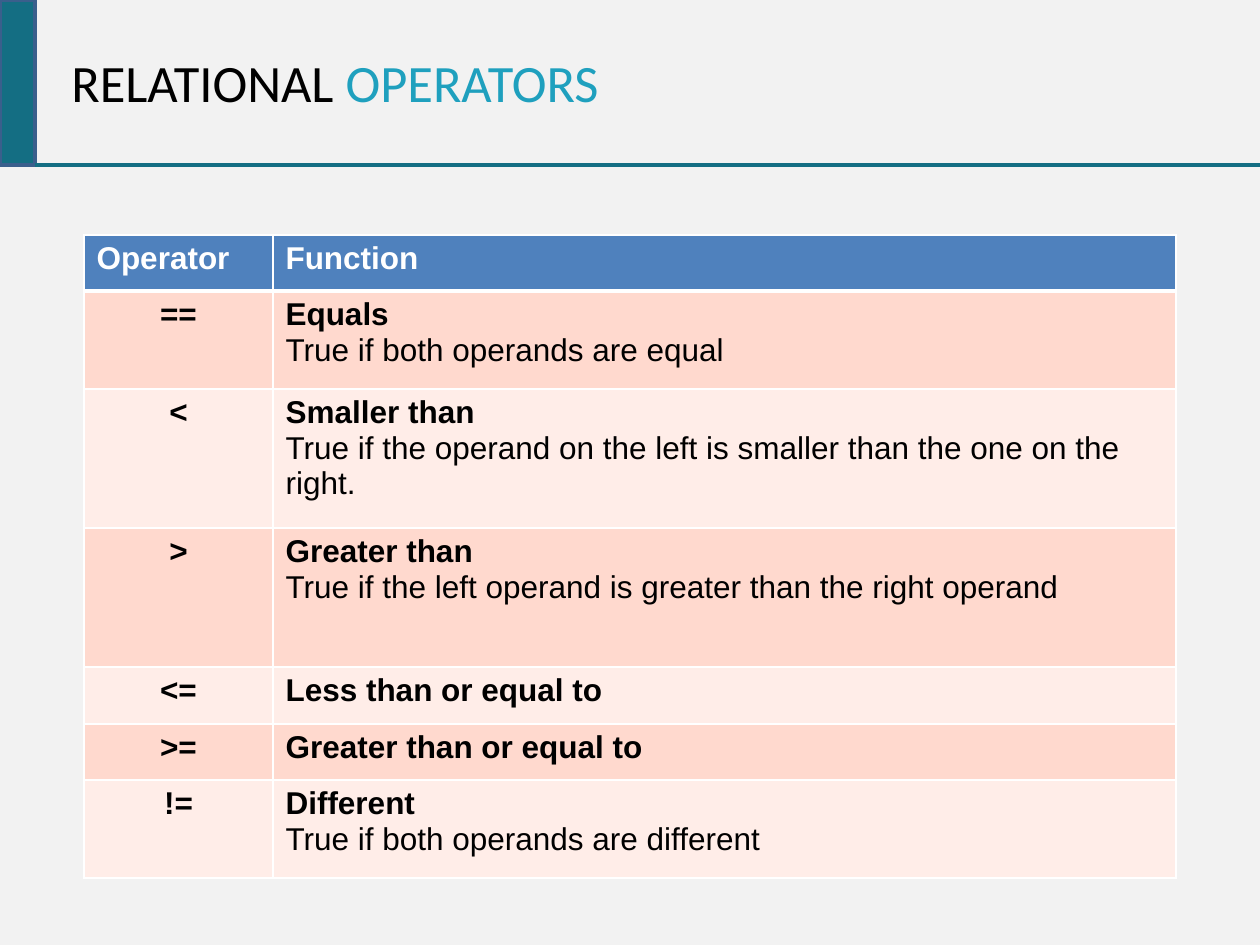
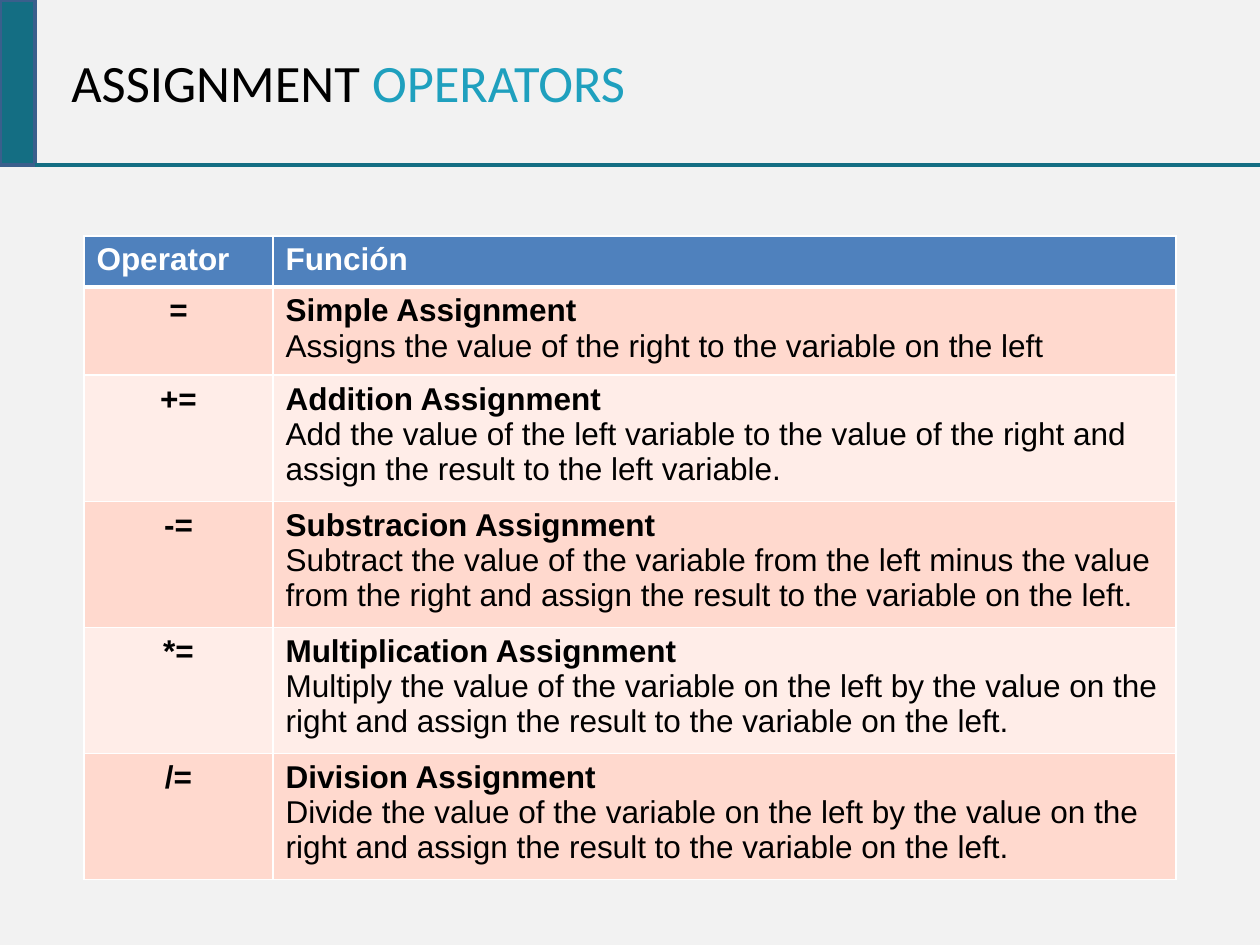
import pptx
import pptx.util
import pptx.dml.color
import pptx.enum.shapes
import pptx.enum.text
import pptx.oxml
import pptx.oxml.ns

RGBColor = pptx.dml.color.RGBColor
PAPER = RGBColor(0xF2, 0xF2, 0xF2)
TEAL = RGBColor(0x14, 0x6E, 0x83)
TEAL_EDGE = RGBColor(0x3A, 0x5F, 0x8C)
ACCENT = RGBColor(0x1F, 0xA0, 0xBE)
HEADER_BLUE = RGBColor(0x4F, 0x81, 0xBD)
ROW_DARK = RGBColor(0xFF, 0xD9, 0xCE)
ROW_LIGHT = RGBColor(0xFF, 0xED, 0xE8)
WHITE = RGBColor(0xFF, 0xFF, 0xFF)
BLACK = RGBColor(0, 0, 0)

PX_PER_INCH = 126
BAND_WIDTH, BAND_HEIGHT = 35, 165
TABLE_LEFT = 84
COLUMN_WIDTHS = [189, 903]

# Each row: height, operator, name, explanation (if any)
SLIDES = [
    ("RELATIONAL ", 235, [
        (56, "Operator", "Function"),
        (98, "==", "Equals", "True if both operands are equal"),
        (139, "<", "Smaller than",
         "True if the operand on the left is smaller than the one on the right."),
        (139, ">", "Greater than",
         "True if the left operand is greater than the right operand"),
        (57, "<=", "Less than or equal to"),
        (56, ">=", "Greater than or equal to"),
        (98, "!=", "Different", "True if both operands are different"),
    ]),
    ("ASSIGNMENT ", 236, [
        (51, "Operator", "Función"),
        (88, "=", "Simple Assignment",
         "Assigns the value of the right to the variable on the left"),
        (126, "+=", "Addition Assignment",
         "Add the value of the left variable to the value of the right and "
         "assign the result to the left variable."),
        (126, "-=", "Substracion Assignment",
         "Subtract the value of the variable from the left minus the value "
         "from the right and assign the result to the variable on the left."),
        (126, "*=", "Multiplication Assignment",
         "Multiply the value of the variable on the left by the value on the "
         "right and assign the result to the variable on the left."),
        (126, "/=", "Division Assignment",
         "Divide the value of the variable on the left by the value on the "
         "right and assign the result to the variable on the left."),
    ]),
]


def px(length):
    return pptx.util.Emu(round(length * 914400 / PX_PER_INCH))


def set_borders(cell, top, bottom):
    """White cell borders; top and bottom widths in points."""
    properties = cell._tc.get_or_add_tcPr()
    sides = [("lnL", 1), ("lnR", 1), ("lnT", top), ("lnB", bottom)]
    for position, (side, points) in enumerate(sides):
        properties.insert(position, pptx.oxml.parse_xml(
            f'<a:{side} {pptx.oxml.ns.nsdecls("a")} w="{pptx.util.Pt(points)}">'
            f'<a:solidFill><a:srgbClr val="{WHITE}"/></a:solidFill></a:{side}>'))


deck = pptx.Presentation()
deck.slide_width, deck.slide_height = px(1260), px(945)

for topic, table_top, rows in SLIDES:
    slide = deck.slides.add_slide(deck.slide_layouts[6])
    slide.background.fill.solid()
    slide.background.fill.fore_color.rgb = PAPER

    # Title in two colours
    title = slide.shapes.add_textbox(px(59), 0, px(1027), px(164)).text_frame
    title.word_wrap = True
    title.vertical_anchor = pptx.enum.text.MSO_ANCHOR.MIDDLE
    for words, color in [(topic, BLACK), ("OPERATORS", ACCENT)]:
        run = title.paragraphs[0].add_run()
        run.text = words
        run.font.name = "Calibri"
        run.font.size = pptx.util.Pt(30)
        run.font.color.rgb = color

    # Teal band and the rule beside it
    band = slide.shapes.add_shape(pptx.enum.shapes.MSO_SHAPE.RECTANGLE,
                                  0, 0, px(BAND_WIDTH), px(BAND_HEIGHT))
    band.shadow.inherit = False
    band.fill.solid()
    band.fill.fore_color.rgb = TEAL
    band.line.color.rgb = TEAL_EDGE
    band.line.width = pptx.util.Pt(2)
    rule = slide.shapes.add_connector(pptx.enum.shapes.MSO_CONNECTOR.STRAIGHT,
                                      px(BAND_WIDTH), px(BAND_HEIGHT),
                                      deck.slide_width, px(BAND_HEIGHT))
    rule.line.color.rgb = TEAL
    rule.line.width = pptx.util.Pt(1.75)
    rule._element.spPr.append(pptx.oxml.parse_xml(
        f'<a:effectLst {pptx.oxml.ns.nsdecls("a")}/>'))

    # Operator table
    operators = slide.shapes.add_table(
        len(rows), len(COLUMN_WIDTHS), px(TABLE_LEFT), px(table_top),
        px(sum(COLUMN_WIDTHS)), px(sum(row[0] for row in rows))).table
    for column, width in zip(operators.columns, COLUMN_WIDTHS):
        column.width = px(width)

    for row_index, (height, operator, *description) in enumerate(rows):
        operators.rows[row_index].height = px(height)
        is_header = row_index == 0
        row_fill = HEADER_BLUE if is_header else (ROW_LIGHT, ROW_DARK)[row_index % 2]
        for column_index, lines in enumerate([[operator], description]):
            cell = operators.cell(row_index, column_index)
            cell.fill.solid()
            cell.fill.fore_color.rgb = row_fill
            set_borders(cell, top=3 if row_index == 1 else 1,
                        bottom=3 if is_header else 1)
            cell.text_frame.text = "\n".join(lines)
            for line_index, paragraph in enumerate(cell.text_frame.paragraphs):
                if column_index == 0 and not is_header:
                    paragraph.alignment = pptx.enum.text.PP_ALIGN.CENTER
                font = paragraph.runs[0].font
                font.name = "Arial"
                font.size = pptx.util.Pt(18)
                font.bold = line_index == 0
                font.color.rgb = WHITE if is_header else BLACK

deck.save("out.pptx")
